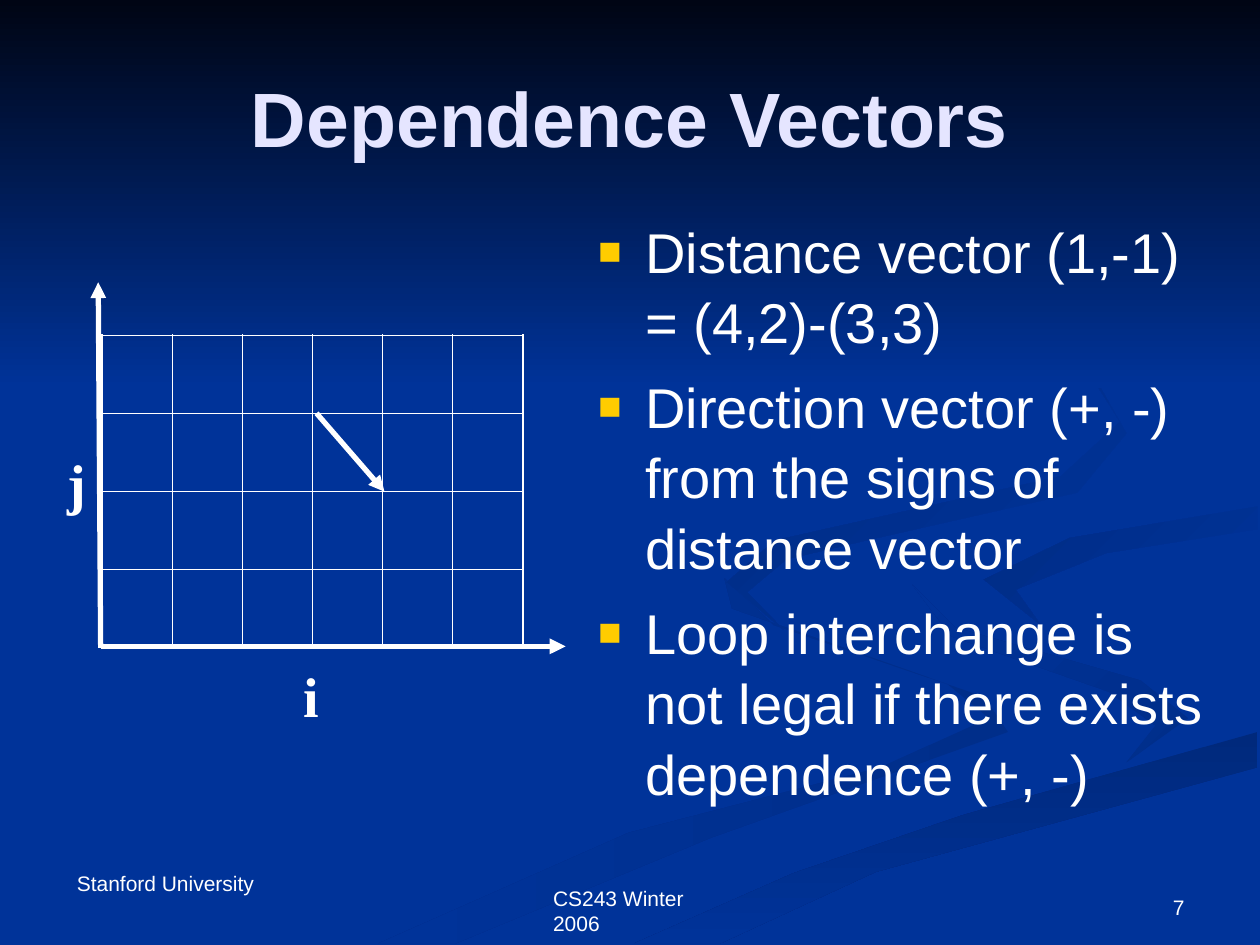
from lxml import etree
from pptx import Presentation
from pptx.dml.color import RGBColor
from pptx.enum.shapes import MSO_CONNECTOR
from pptx.enum.text import MSO_ANCHOR, PP_ALIGN
from pptx.oxml.ns import qn
from pptx.util import Cm, Pt

LEFT, CENTER, RIGHT = PP_ALIGN.LEFT, PP_ALIGN.CENTER, PP_ALIGN.RIGHT
TOP, MIDDLE, BOTTOM = MSO_ANCHOR.TOP, MSO_ANCHOR.MIDDLE, MSO_ANCHOR.BOTTOM
STRAIGHT = MSO_CONNECTOR.STRAIGHT
WHITE = RGBColor(0xFF, 0xFF, 0xFF)
LAVENDER = RGBColor(0xE5, 0xE5, 0xFF)
BLUE = RGBColor(0x00, 0x33, 0x99)
NIGHT = RGBColor(0x00, 0x05, 0x14)
SHADE_1 = RGBColor(0x00, 0x2E, 0x8A)
SHADE_2 = RGBColor(0x00, 0x29, 0x7C)
SHADE_3 = RGBColor(0x00, 0x2C, 0x85)
SHADE_4 = RGBColor(0x00, 0x2B, 0x81)
OUTLINE_UNIT = Cm(0.0254)

prs = Presentation()
prs.slide_width, prs.slide_height = Cm(25.4), Cm(19.05)
slide = prs.slides.add_slide(prs.slide_layouts[6])
shapes = slide.shapes
slide.background.fill.solid()
slide.background.fill.fore_color.rgb = BLUE


def add_text(box, paragraphs, size, font="Arial", color=WHITE, bold=False,
             align=LEFT, anchor=TOP, wrap=True):
    frame = shapes.add_textbox(*[Cm(v) for v in box]).text_frame
    frame.word_wrap = wrap
    frame.vertical_anchor = anchor
    for i, text in enumerate(paragraphs):
        paragraph = frame.paragraphs[0] if i == 0 else frame.add_paragraph()
        paragraph.alignment = align
        run = paragraph.add_run()
        run.text = text
        run.font.size, run.font.name = Pt(size), font
        run.font.bold, run.font.color.rgb = bold, color
    return frame


# Background ribbons and top band: start colour, end colour, angle, outline
backdrop = [
    (SHADE_1, BLUE, 180, [
        (781, 553), (614, 496), (575, 459), (581, 483), (752, 543), (785, 570),
        (699, 609), (499, 661), (300, 749), (361, 749), (564, 665), (800, 581)]),
    (SHADE_1, BLUE, 225, [
        (943, 570), (905, 540), (758, 498), (724, 464), (755, 505), (880, 549),
        (917, 576), (894, 605)]),
    (SHADE_2, BLUE, 90, [
        (503, 749), (571, 749), (695, 692), (998, 609), (998, 581), (764, 647),
        (630, 693)]),
    (BLUE, SHADE_3, 225, [
        (781, 460), (826, 496), (806, 468), (878, 439), (998, 420), (998, 402),
        (849, 427)]),
    (BLUE, SHADE_4, 225, [
        (683, 430), (855, 391), (894, 344), (864, 291), (762, 233), (862, 292),
        (889, 335), (842, 378), (615, 429), (577, 462), (622, 500), (593, 470),
        (624, 444)]),
    (NIGHT, BLUE, 90, [(0, 0), (0, 308), (1000, 308), (1000, 0)]),
]
for start_color, end_color, angle, outline in backdrop:
    builder = shapes.build_freeform(*outline[0], scale=OUTLINE_UNIT)
    builder.add_line_segments(outline[1:], close=True)
    ribbon = builder.convert_to_shape()
    ribbon.shadow.inherit = False
    ribbon.line.fill.background()
    ribbon.fill.gradient()
    ribbon.fill.gradient_angle = 360 - angle
    for stop, color in zip(ribbon.fill.gradient_stops, (start_color, end_color)):
        stop.color.rgb = color

# Footer and title
add_text((10.9, 17.73, 4.19, 0.76), ["CS243 Winter 2006"], 12, wrap=False)
add_text((1.3, 17.42, 4.78, 0.76), ["Stanford University"], 12)
add_text((18.21, 17.35, 5.92, 1.32), ["7"], 12, align=RIGHT, anchor=BOTTOM)
add_text((1.27, 0.76, 22.86, 3.18), ["Dependence Vectors"], 44,
         color=LAVENDER, bold=True, align=CENTER, anchor=MIDDLE)

# Iteration space grid
ROWS, COLS = 4, 6
grid = shapes.add_table(ROWS, COLS, Cm(2.06), Cm(6.76), Cm(8.48), Cm(6.28)).table
grid.first_row = grid.horz_banding = False
for r in range(ROWS):
    for c in range(COLS):
        cell = grid.cell(r, c)
        properties = cell._tc.get_or_add_tcPr()
        outer_edges = {"a:lnL": c == 0, "a:lnR": c == COLS - 1,
                       "a:lnT": r == 0, "a:lnB": r == ROWS - 1}
        for tag, is_outer in outer_edges.items():
            border = etree.SubElement(properties, qn(tag),
                                      w=str(Pt(1.08 if is_outer else 0.45)))
            border_fill = etree.SubElement(border, qn("a:solidFill"))
            etree.SubElement(border_fill, qn("a:srgbClr"), val=str(WHITE))
        cell.fill.background()

# Axis labels
for label, left, top in (("i", 5.87, 13.21), ("j", 1.12, 8.92)):
    add_text((left, top, 0.89, 1.63), [label], 32, "Times New Roman",
             bold=True, wrap=False)

# Axes and dependence arrow
arrows = [(2.03, 13.03, 11.4, 13.03), (2.03, 13.06, 1.98, 5.69),
          (6.38, 8.33, 7.75, 9.91)]
for ends in arrows:
    arrow = shapes.add_connector(STRAIGHT, *[Cm(v) for v in ends])
    arrow.line.color.rgb, arrow.line.width = WHITE, Pt(3)
    etree.SubElement(arrow.line._get_or_add_ln(), qn("a:tailEnd"), type="triangle")
    etree.SubElement(arrow._element.spPr, qn("a:effectLst"))

# Bulleted remarks
remarks = add_text((11.81, 4.19, 12.98, 12.73), [
    "Distance vector (1,-1) = (4,2)-(3,3)",
    "Direction vector (+, -) from the signs of distance vector",
    "Loop interchange is not legal if there exists dependence (+, -)"], 32)
for remark in remarks.paragraphs:
    remark.space_before, remark.line_spacing = Pt(8), 1.05
    properties = remark._p.get_or_add_pPr()
    properties.set("marL", str(Cm(0.95)))
    properties.set("indent", str(-Cm(0.95)))
    bullet_color = etree.SubElement(properties, qn("a:buClr"))
    etree.SubElement(bullet_color, qn("a:srgbClr"), val="FFCC00")
    etree.SubElement(properties, qn("a:buSzPct"), val="70000")
    etree.SubElement(properties, qn("a:buFont"), typeface="Arial")
    etree.SubElement(properties, qn("a:buChar"), char="■")

prs.save("out.pptx")
